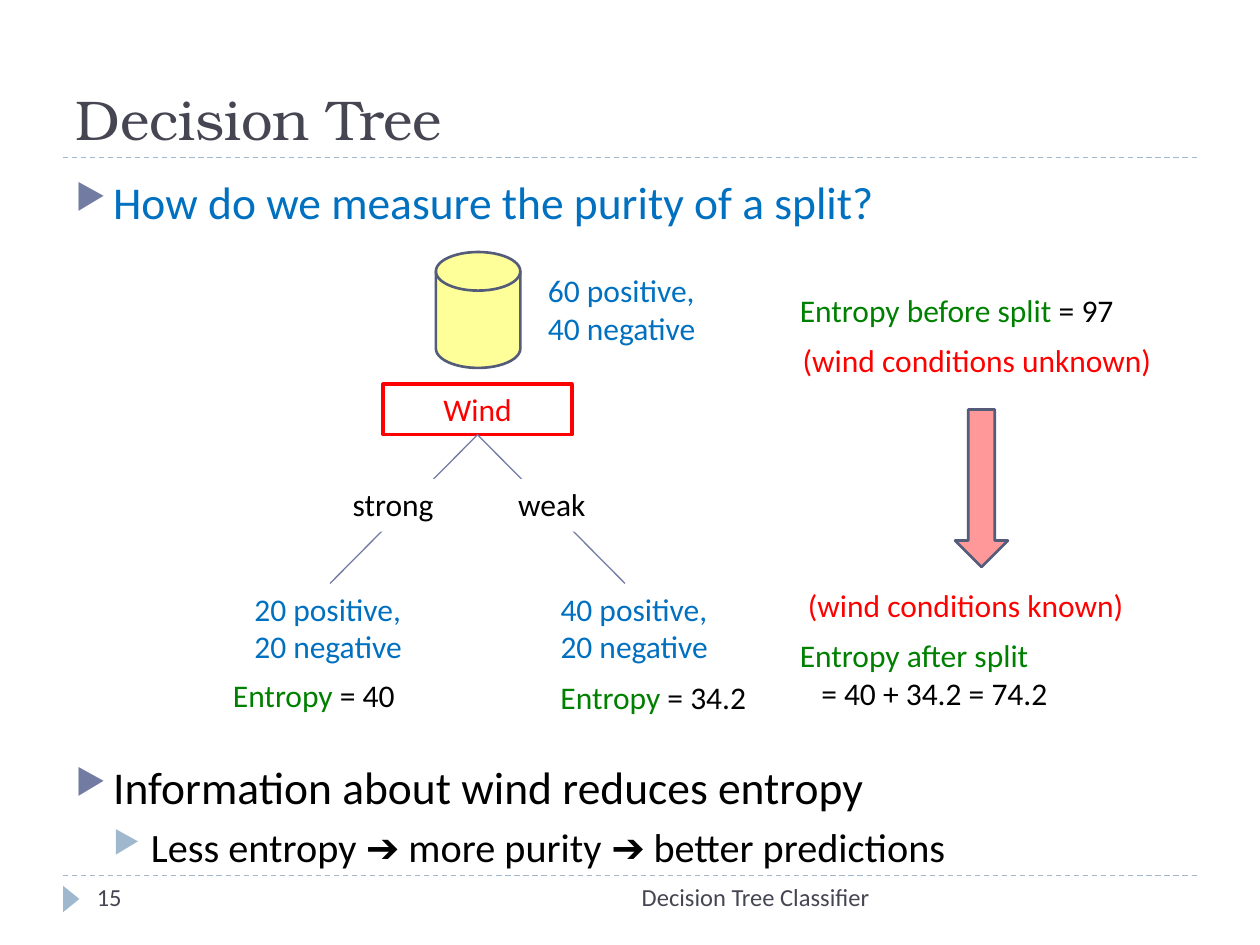
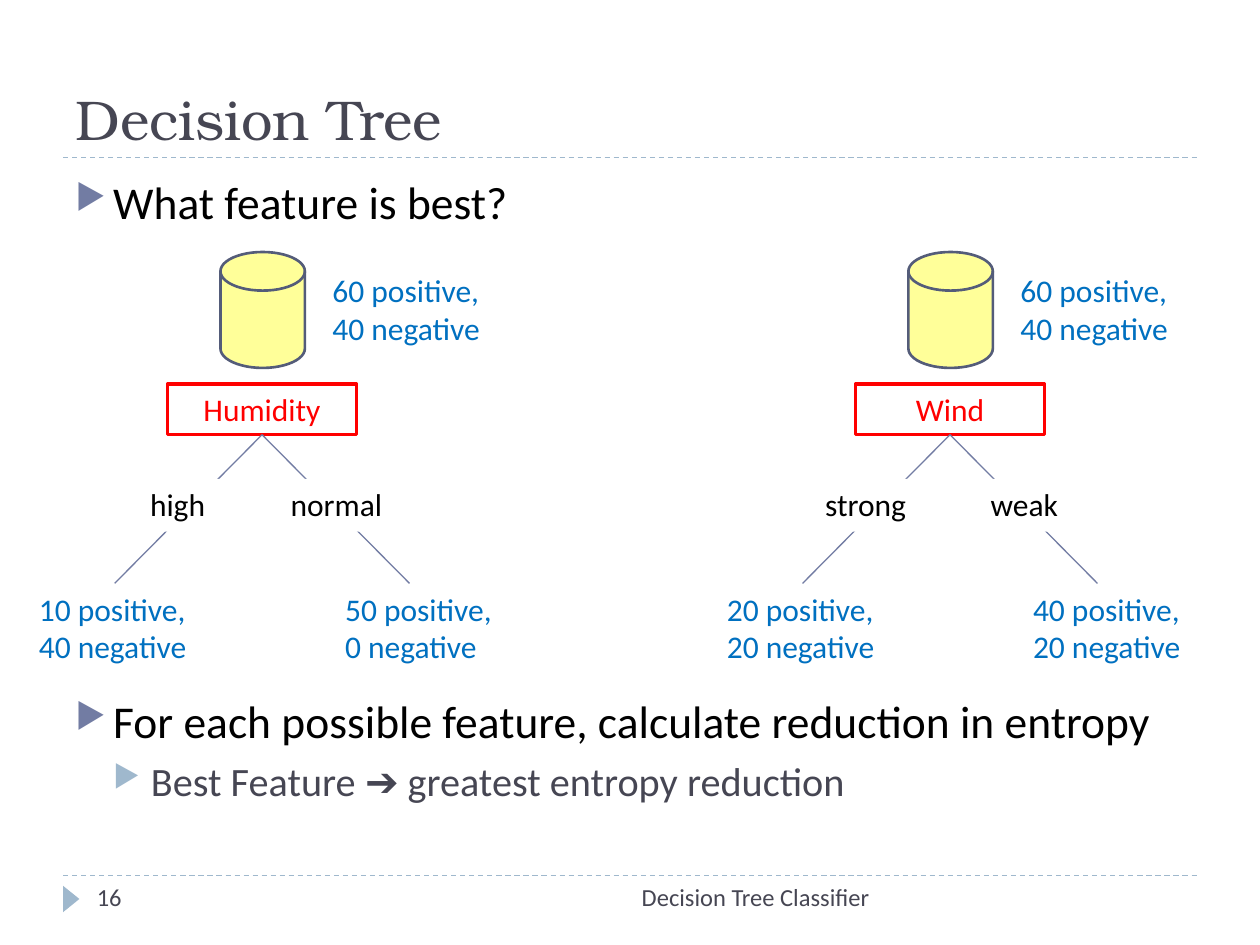
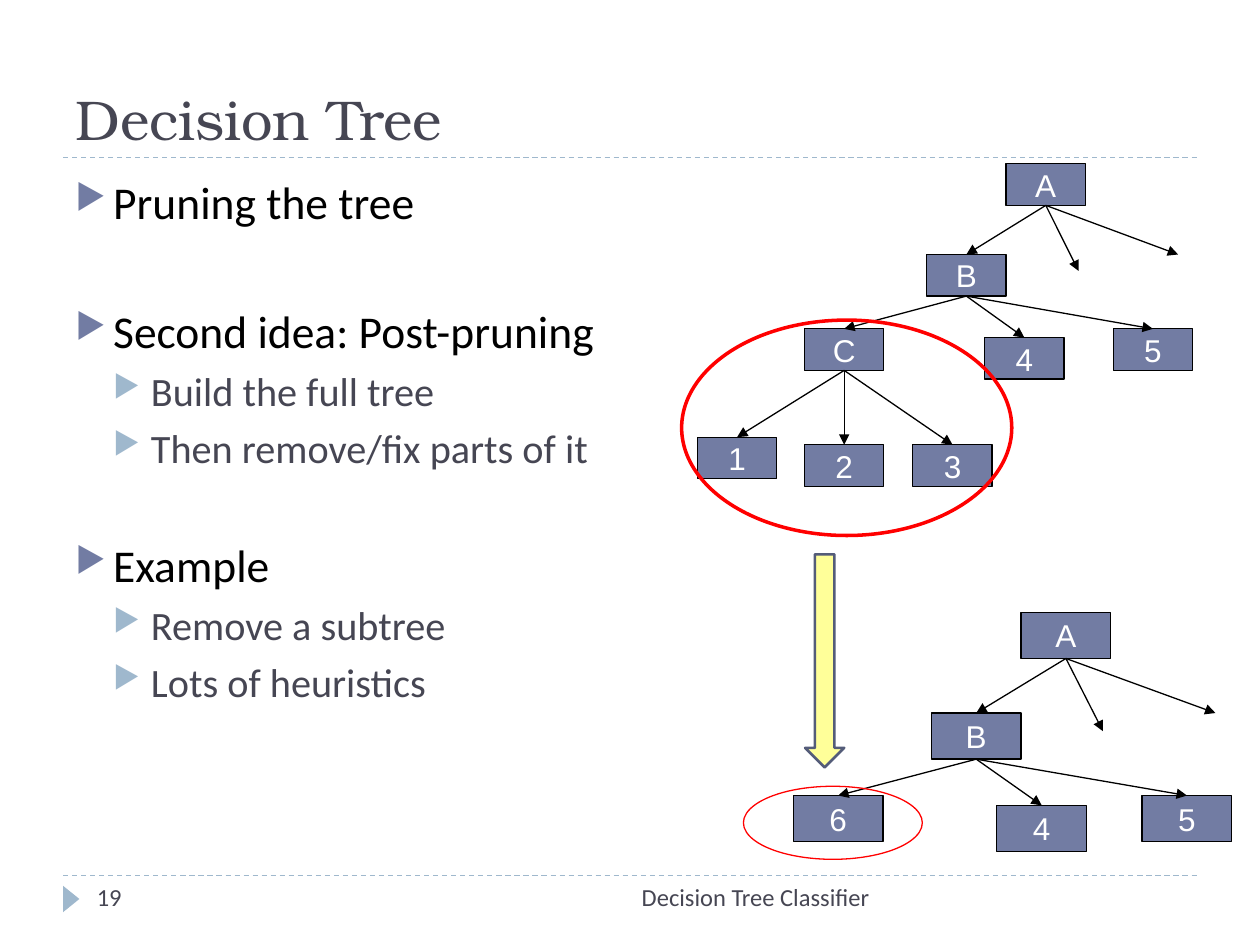
from lxml.etree import SubElement
from pptx import Presentation
from pptx.dml.color import RGBColor
from pptx.enum.dml import MSO_LINE
from pptx.enum.shapes import MSO_CONNECTOR, MSO_SHAPE
from pptx.enum.text import MSO_ANCHOR, PP_ALIGN
from pptx.oxml.ns import qn
from pptx.util import Inches, Pt

COLORS = {
    "ink": "464653", "black": "000000", "white": "FFFFFF",
    "blue": "0070C0", "green": "008000", "red": "FF0000", "yellow": "FFFF00",
    "slate": "727CA3", "slate_dark": "545C79", "mist": "9FB8CD",
}
TITLE_FONT, BODY_FONT, NODE_FONT = "TeX Gyre Bonum", "Calibri", "Arial"

# Per outline level: size, space before, left indent, bullet colour
LEVELS = [(26, 6, 0.3, "slate"), (23, 5, 0.6, "mist")]

# Pruning tree: offset of each node's top centre from the top centre of the root
NODE_W, NODE_H = 0.63, 0.33
NODE_AT = {
    "A": (0, 0), "B": (-0.63, 0.72), "C": (-1.6, 1.31), "6": (-1.6, 1.31),
    "4": (-0.17, 1.38), "5": (0.85, 1.31),
    "1": (-2.45, 2.17), "2": (-1.6, 2.23), "3": (-0.74, 2.23),
}
LOOSE_ENDS = [(0.26, 0.85), (1.05, 0.72)]


def rgb(name):
    return RGBColor.from_string(COLORS[name])


def inches(*values):
    return [Inches(v) for v in values]


# Text
def add_runs(p, parts, size, font=BODY_FONT):
    """Parts are (text, colour) pairs."""
    for text, color in parts:
        r = p.add_run()
        r.text = text
        r.font.size, r.font.name = Pt(size), font
        r.font.color.rgb = rgb(color)


def set_indent(p, left, hanging=0):
    pPr = p._p.get_or_add_pPr()
    pPr.set("marL", str(Inches(left)))
    pPr.set("indent", str(-Inches(hanging)))
    return pPr


def add_text(shapes, box, parts, size=18, font=BODY_FONT,
             align=PP_ALIGN.LEFT, anchor=MSO_ANCHOR.TOP):
    tf = shapes.add_textbox(*inches(*box)).text_frame
    tf.word_wrap = True
    tf.vertical_anchor = anchor
    tf.paragraphs[0].alignment = align
    add_runs(tf.paragraphs[0], parts, size, font)
    return tf


def add_outline(s, items):
    """Items are (level, text, colour, space before or None)."""
    tf = s.shapes.add_textbox(*inches(0.5, 1.33, 9, 5.4)).text_frame
    tf.word_wrap = True
    for i, (level, text, color, gap) in enumerate(items):
        size, before, left, bullet = LEVELS[level]
        p = tf.add_paragraph() if i else tf.paragraphs[0]
        p.level = level
        p.space_before = Pt(gap or before)
        pPr = set_indent(p, left, 0.3)
        clr = SubElement(pPr, qn("a:buClr"))
        SubElement(clr, qn("a:srgbClr"), val=COLORS[bullet])
        SubElement(pPr, qn("a:buSzPct"), val="76000")
        SubElement(pPr, qn("a:buChar"), char="▶")
        add_runs(p, [(text, color)], size)


# Shapes and lines
def add_shape(shapes, kind, box, fill=None, line=None, width=0.75, alpha=None):
    sp = shapes.add_shape(kind, *inches(*box))
    sp.shadow.inherit = False
    if fill:
        sp.fill.solid()
        sp.fill.fore_color.rgb = rgb(fill)
    else:
        sp.fill.background()
    if alpha:
        clr = sp._element.spPr.find(qn("a:solidFill"))[0]
        SubElement(clr, qn("a:alpha"), val=str(alpha * 1000))
    if line:
        sp.line.color.rgb = rgb(line)
        sp.line.width = Pt(width)
    else:
        sp.line.fill.background()
    return sp


def add_label(sp, text, color, font=BODY_FONT, anchor=MSO_ANCHOR.TOP, wrap=True):
    tf = sp.text_frame
    tf.word_wrap = wrap
    tf.vertical_anchor = anchor
    tf.paragraphs[0].alignment = PP_ALIGN.CENTER
    add_runs(tf.paragraphs[0], [(text, color)], 18, font)


def add_line(shapes, start, end, color, arrow=False):
    line = shapes.add_connector(MSO_CONNECTOR.STRAIGHT, *inches(*start, *end))
    line.line.color.rgb = rgb(color)
    line.line.width = Pt(0.75)
    if arrow:
        ln = line.line._get_or_add_ln()
        SubElement(ln, qn("a:tailEnd"), type="triangle")
    SubElement(line._element.spPr, qn("a:effectLst"))
    return line


# Frame shared by all slides
def new_slide(prs, number):
    s = prs.slides.add_slide(prs.slide_layouts[6])
    for y in (6.95, 1.25):
        rule = add_line(s.shapes, (0.5, y), (9.5, y), "mist")
        rule.line.dash_style = MSO_LINE.DASH
    marker = add_shape(s.shapes, MSO_SHAPE.ISOSCELES_TRIANGLE,
                       (0.46, 7.07, 0.21, 0.13), "mist")
    marker.rotation = 90
    add_text(s.shapes, (0.5, 0.17, 9, 1.08), [("Decision Tree", "ink")], 32,
             TITLE_FONT, anchor=MSO_ANCHOR.BOTTOM)
    add_text(s.shapes, (3.17, 6.95, 3.83, 0.4),
             [("Decision Tree Classifier", "ink")], 14, align=PP_ALIGN.RIGHT)
    add_text(s.shapes, (0.67, 6.95, 2.17, 0.4), [(str(number), "ink")], 14)
    return s


# Data set split by one feature, centred on cx
def add_split(s, cx, feature, branches, counts):
    shapes = s.shapes.add_group_shape().shapes
    add_shape(shapes, MSO_SHAPE.FLOWCHART_MAGNETIC_DISK, (cx - 0.33, 2, 0.67, 0.92),
              "yellow", "slate_dark", 1.5, alpha=40)
    box = add_shape(shapes, MSO_SHAPE.RECTANGLE, (cx - 0.75, 3.05, 1.5, 0.4),
                    line="red", width=2)
    add_label(box, feature, "red")
    for branch, side, left in zip(branches, (-1, 1), (-1.17, 0.09)):
        add_line(shapes, (cx, 3.45), (cx + side * 1.17, 4.63), "slate")
        label = add_shape(shapes, MSO_SHAPE.RECTANGLE, (cx + left, 3.8, 1, 0.42), "white")
        add_label(label, branch, "black")
    places = [(0.46, 2.1), (-1.87, 4.63), (0.56, 4.63)]
    for (dx, y), (positive, negative) in zip(places, counts):
        text = f"{positive} positive, {negative} negative"
        add_text(shapes, (cx + dx, y, 1.42, 0.71), [(text, "blue")])


# Tree of numbered nodes; edges are (parent, child) letter pairs
def add_tree(s, cx, top, edges, kx=1, ky=1):
    shapes = s.shapes.add_group_shape().shapes
    w, h = NODE_W * kx, NODE_H * ky

    def place(dx, dy):
        return cx + dx * kx, top + dy * ky

    nodes = {}
    for name in ["A"] + [child for _, child in edges]:
        x, y = place(*NODE_AT[name])
        nodes[name] = add_shape(shapes, MSO_SHAPE.RECTANGLE, (x - w / 2, y, w, h),
                                "slate", "black")
        add_label(nodes[name], name, "white", NODE_FONT, MSO_ANCHOR.MIDDLE, wrap=False)
    for parent, child in edges:
        x, y = place(*NODE_AT[parent])
        edge = add_line(shapes, (x, y + h), place(*NODE_AT[child]), "black", arrow=True)
        edge.begin_connect(nodes[parent], 2)
        edge.end_connect(nodes[child], 0)
    for end in LOOSE_ENDS:
        edge = add_line(shapes, (cx, top + h), place(*end), "black", arrow=True)
        edge.begin_connect(nodes["A"], 2)


# Slides
def purity_slide(prs):
    s = new_slide(prs, 15)
    add_outline(s, [
        (0, "How do we measure the purity of a split?", "blue", None),
        (0, "Information about wind reduces entropy", "black", 303),
        (1, "Less entropy ➔ more purity ➔ better predictions", "black", None),
    ])
    add_split(s, 3.79, "Wind", ("strong", "weak"), [(60, 40), (20, 20), (40, 20)])

    # Entropy figures
    for box, term, value in [
        ((6.25, 2.26, 3, 0.4), "Entropy before split", " = 97"),
        ((1.75, 5.32, 1.75, 0.4), "Entropy", " = 40"),
        ((4.35, 5.33, 1.74, 0.4), "Entropy", " = 34.2"),
    ]:
        add_text(s.shapes, box, [(term, "green"), (value, "black")])
    tf = add_text(s.shapes, (6.25, 5, 3, 0.71), [("Entropy after split", "green")])
    p = tf.add_paragraph()
    set_indent(p, 0.17)
    add_runs(p, [("= 40 + 34.2 = 74.2", "black")], 18)

    # Before and after
    for x, y, state in [(6.17, 2.66, "unknown"), (6.08, 4.6, "known")]:
        add_text(s.shapes, (x, y, 3.17, 0.4), [(f"(wind conditions {state})", "red")],
                 align=PP_ALIGN.CENTER)
    add_shape(s.shapes, MSO_SHAPE.DOWN_ARROW, (7.58, 3.25, 0.42, 1.25),
              "red", "slate_dark", 1.5, alpha=40)


def feature_slide(prs):
    s = new_slide(prs, 16)
    add_outline(s, [
        (0, "What feature is best?", "black", None),
        (0, "For each possible feature, calculate reduction in entropy", "black", 265.5),
        (1, "Best Feature ➔ greatest entropy reduction", "ink", None),
    ])
    add_split(s, 2.08, "Humidity", ("high", "normal"), [(60, 40), (10, 40), (50, 0)])
    add_split(s, 7.54, "Wind", ("strong", "weak"), [(60, 40), (20, 20), (40, 20)])


def pruning_slide(prs):
    s = new_slide(prs, 19)
    add_outline(s, [
        (0, "Pruning the tree", "black", None),
        (0, "Second idea: Post-pruning", "black", 42.5),
        (1, "Build the full tree", "ink", None),
        (1, "Then remove/fix parts of it", "ink", None),
        (0, "Example", "black", 37.5),
        (1, "Remove a subtree", "ink", None),
        (1, "Lots of heuristics", "ink", None),
    ])
    # Full tree, then the tree with subtree C replaced
    add_tree(s, 8.3, 1.3, ["AB", "BC", "C1", "C2", "C3", "B4", "B5"])
    add_shape(s.shapes, MSO_SHAPE.OVAL, (5.41, 2.54, 2.62, 1.71), line="red", width=2)
    add_tree(s, 8.46, 4.86, ["AB", "B6", "B4", "B5"], 1.13, 1.11)
    add_shape(s.shapes, MSO_SHAPE.OVAL, (5.9, 6.24, 1.42, 0.58), line="red")
    add_shape(s.shapes, MSO_SHAPE.DOWN_ARROW, (6.39, 4.4, 0.31, 1.69),
              "yellow", "slate_dark", 1.5, alpha=40)


def main():
    prs = Presentation()
    prs.slide_width, prs.slide_height = inches(10, 7.5)
    purity_slide(prs)
    feature_slide(prs)
    pruning_slide(prs)
    prs.save("out.pptx")


main()
